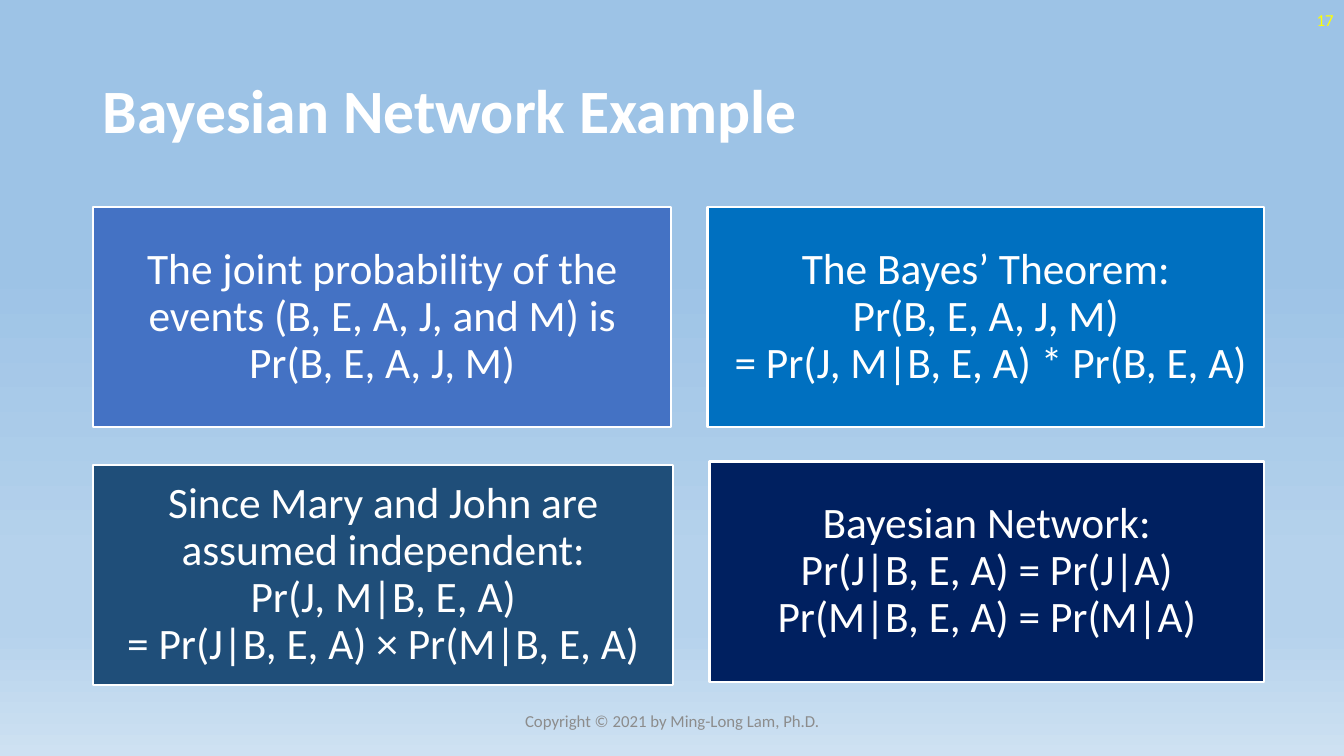
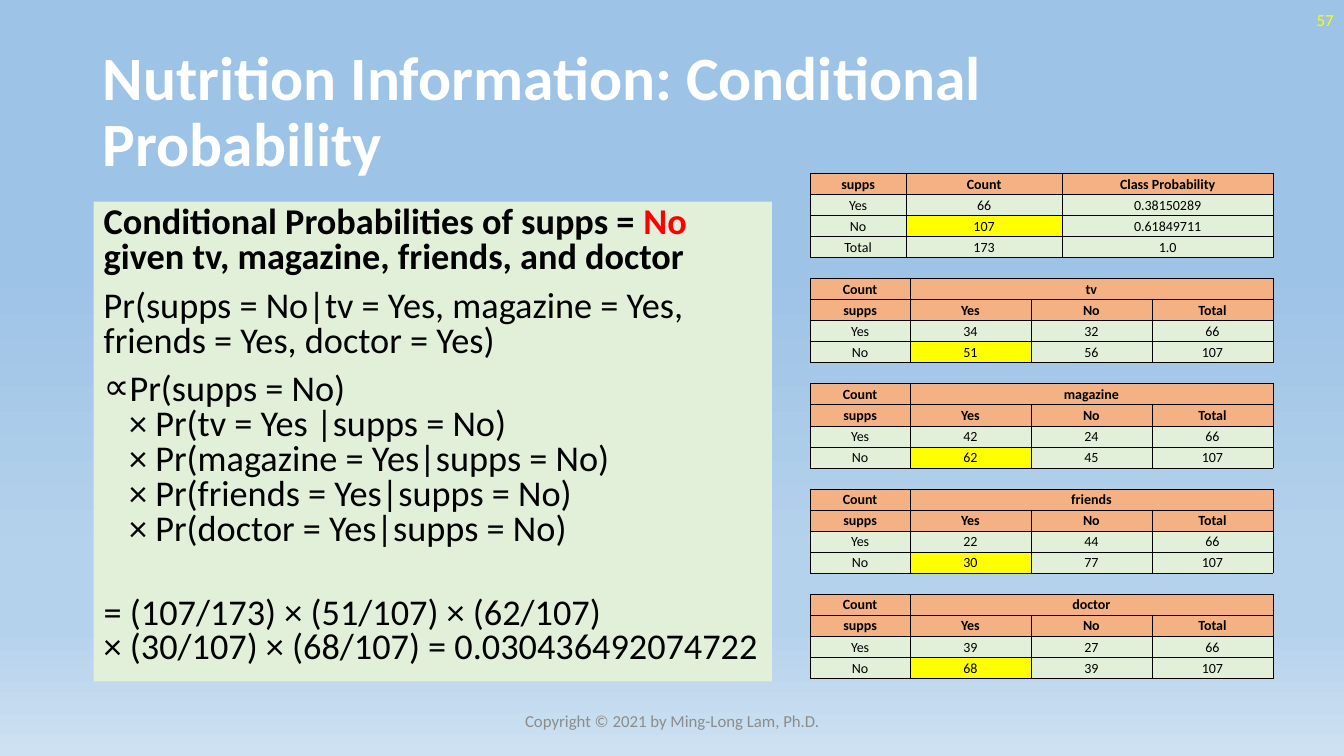
from dataclasses import dataclass

from lxml.etree import SubElement
from pptx import Presentation
from pptx.dml.color import RGBColor
from pptx.enum.shapes import MSO_SHAPE
from pptx.enum.text import MSO_ANCHOR, MSO_AUTO_SIZE, PP_ALIGN
from pptx.oxml.ns import qn
from pptx.util import Cm, Pt

FONT = "Calibri"
WHITE, BLACK, RED, YELLOW = "FFFFFF", "000000", "FF0000", "FFFF00"
GREY, GREEN, ORANGE = "8C8C8C", "E2F0D9", "F4B183"
SKY = [(35, "9DC3E6"), (74, "B5D2EC"), (83, "B5D2EC"), (100, "CEE1F2")]
COPY = "Copyright © 2021 by Ming-Long Lam, Ph.D."


@dataclass
class Area:
    left: float
    top: float
    width: float
    height: float

    def lengths(self) -> list:
        return [Cm(n) for n in (self.left, self.top, self.width, self.height)]


@dataclass
class Style:
    size: float
    color: str
    bold: bool = False


@dataclass
class Card:
    area: Area
    fill: str
    text: str


@dataclass
class Part:
    """A body paragraph: (text, colour) runs, weight, space before and bullet."""
    runs: list
    bold: bool = False
    before: float = 10
    bullet: str = ""


@dataclass
class Grid:
    widths: list
    heads: int
    rows: list


TITLE = Area(2.34, 1.02, 29.21, 3.68)
NUMBER = Area(26.24, 0, 7.62, 1.02)
FOOTER = Area(11.23, 17.65, 11.43, 1.02)
BODY = Area(2.36, 5.08, 17.09, 12.09)

CARDS = [
    Card(Area(2.34, 5.21, 14.58, 5.56), "4472C4",
         "The joint probability of the events (B, E, A, J, and M) is "
         "Pr(B, E, A, J, M)"),
    Card(Area(17.83, 5.21, 14.02, 5.56), "0070C0",
         "The Bayes’ Theorem:\nPr(B, E, A, J, M)\n"
         " = Pr(J, M|B, E, A) * Pr(B, E, A)"),
    Card(Area(2.34, 11.71, 14.63, 5.56), "1F4E79",
         "Since Mary and John are assumed independent:\nPr(J, M|B, E, A)\n"
         "= Pr(J|B, E, A) × Pr(M|B, E, A)"),
    Card(Area(17.88, 11.63, 13.97, 5.56), "002060",
         "Bayesian Network:\nPr(J|B, E, A) = Pr(J|A)\n"
         "Pr(M|B, E, A) = Pr(M|A)"),
]

PARTS = [
    Part([("Conditional Probabilities of supps = ", BLACK), ("No", RED),
          (" given tv, magazine, friends, and doctor", BLACK)],
         bold=True, before=0),
    Part([("Pr(supps = No|tv = Yes, magazine = Yes,\n"
           "friends = Yes, doctor = Yes)", BLACK)]),
    Part([("Pr(supps = No)\n× Pr(tv = Yes |supps = No)\n"
           "× Pr(magazine = Yes|supps = No)\n"
           "× Pr(friends = Yes|supps = No)\n"
           "× Pr(doctor = Yes|supps = No)", BLACK)], bullet="∝"),
    Part([("= (107/173) × (51/107) × (62/107)\n"
           "× (30/107) × (68/107) = 0.030436492074722", BLACK)], before=35),
]


def cross(name: str, yes: list, no: list) -> Grid:
    """Counts of supps against one factor."""
    return Grid([2.51] + [3.05] * 3, 2, [
        ["Count", name, "", ""],
        ["supps", "Yes", "No", "Total"],
        ["Yes", *yes, sum(yes)],
        ["No", *no, sum(no)],
    ])


GRIDS = [
    Grid([2.41, 3.94, 5.31], 1, [
        ["supps", "Count", "Class Probability"],
        ["Yes", 66, "0.38150289"],
        ["No", 107, "0.61849711"],
        ["Total", 173, "1.0"],
    ]),
    cross("tv", [34, 32], [51, 56]),
    cross("magazine", [42, 24], [62, 45]),
    cross("friends", [22, 44], [30, 77]),
    cross("doctor", [39, 27], [68, 39]),
]


def rgb(code: str) -> RGBColor:
    return RGBColor.from_string(code)


def paint(item, code: str) -> None:
    item.fill.solid()
    item.fill.fore_color.rgb = rgb(code)


def place(shape, area: Area) -> None:
    shape.left, shape.top, shape.width, shape.height = area.lengths()


def write(para, text: str, style: Style) -> None:
    """Add runs, with a line break at each newline."""
    for i, line in enumerate(text.split("\n")):
        if i:
            para.add_line_break()
        run = para.add_run()
        run.text = line
        font = run.font
        font.name, font.size, font.bold = FONT, Pt(style.size), style.bold
        font.color.rgb = rgb(style.color)


def set_sky(master) -> None:
    fill = master.background.fill
    fill.gradient()
    fill.gradient_angle = 270
    stops = next(master.element.iter(qn("a:gsLst")))
    for stop in list(stops):
        stops.remove(stop)
    for pos, code in SKY:
        stop = SubElement(stops, qn("a:gs"), pos=str(pos * 1000))
        SubElement(stop, qn("a:srgbClr"), val=code)


def add_label(slide, area: Area, text: str, align, color: str) -> None:
    frame = slide.shapes.add_textbox(*area.lengths()).text_frame
    frame.word_wrap = True
    frame.vertical_anchor = MSO_ANCHOR.MIDDLE
    para = frame.paragraphs[0]
    para.alignment = align
    write(para, text, Style(12, color))


def add_slide(deck, layout: int, title: str, number: int):
    slide = deck.slides.add_slide(deck.slide_layouts[layout])
    shape = slide.shapes.title
    place(shape, TITLE)
    frame = shape.text_frame
    frame.auto_size = MSO_AUTO_SIZE.NONE
    frame.vertical_anchor = MSO_ANCHOR.MIDDLE
    para = frame.paragraphs[0]
    para.alignment, para.line_spacing = PP_ALIGN.LEFT, 0.9
    write(para, title, Style(44, WHITE, True))
    add_label(slide, NUMBER, str(number), PP_ALIGN.RIGHT, YELLOW)
    add_label(slide, FOOTER, COPY, PP_ALIGN.CENTER, GREY)
    return slide


def add_card(slide, card: Card) -> None:
    shape = slide.shapes.add_shape(MSO_SHAPE.RECTANGLE, *card.area.lengths())
    shape.shadow.inherit = False
    paint(shape, card.fill)
    shape.line.color.rgb, shape.line.width = rgb(WHITE), Pt(1.5)
    frame = shape.text_frame
    frame.word_wrap = True
    frame.vertical_anchor = MSO_ANCHOR.MIDDLE
    frame.margin_left = frame.margin_right = Cm(0.33)
    frame.margin_top = frame.margin_bottom = Cm(0.33)
    para = frame.paragraphs[0]
    para.alignment, para.line_spacing = PP_ALIGN.CENTER, 0.9
    write(para, card.text, Style(31, WHITE))


def fill_body(shape, parts: list) -> None:
    place(shape, BODY)
    paint(shape, GREEN)
    frame = shape.text_frame
    frame.auto_size = MSO_AUTO_SIZE.NONE
    for i, part in enumerate(parts):
        para = frame.add_paragraph() if i else frame.paragraphs[0]
        props = para._p.get_or_add_pPr()
        indent = Cm(0.64) if part.bullet else 0
        props.set("marL", str(indent))
        props.set("indent", str(-indent))
        if part.bullet:
            SubElement(props, qn("a:buFont"), typeface=FONT)
            SubElement(props, qn("a:buChar"), char=part.bullet)
        else:
            SubElement(props, qn("a:buNone"))
        para.line_spacing, para.space_before = 0.8, Pt(part.before)
        for text, color in part.runs:
            write(para, text, Style(25.9, color, part.bold))


def add_edges(cell) -> None:
    props = cell._tc.get_or_add_tcPr()
    for side in ("lnL", "lnR", "lnT", "lnB"):
        line = SubElement(props, qn(f"a:{side}"), w=str(Pt(0.5)))
        fill = SubElement(line, qn("a:solidFill"))
        SubElement(fill, qn("a:srgbClr"), val=BLACK)


def fill_cell(cell, text: str, head: bool, hot: bool) -> None:
    add_edges(cell)
    paint(cell, ORANGE if head else YELLOW if hot else GREEN)
    cell.vertical_anchor = MSO_ANCHOR.MIDDLE
    cell.margin_left = cell.margin_right = cell.margin_top = Cm(0.03)
    cell.margin_bottom = 0
    para = cell.text_frame.paragraphs[0]
    para.alignment = PP_ALIGN.CENTER
    if text:
        write(para, text, Style(10, BLACK, head))


def add_grid(slide, grid: Grid, top: float) -> None:
    rows, cols = len(grid.rows), len(grid.widths)
    area = Area(20.42, top, sum(grid.widths), 0.53 * rows)
    table = slide.shapes.add_table(rows, cols, *area.lengths()).table
    table.first_row = table.horz_banding = False
    for col, width in zip(table.columns, grid.widths):
        col.width = Cm(width)
    for r, row in enumerate(grid.rows):
        table.rows[r].height = Cm(0.53)
        for c, value in enumerate(row):
            hot = row[0] == "No" and c == 1
            fill_cell(table.cell(r, c), str(value), r < grid.heads, hot)
    if grid.heads == 2:
        table.cell(0, 1).merge(table.cell(0, cols - 1))


def main() -> None:
    deck = Presentation()
    deck.slide_width, deck.slide_height = Cm(33.87), Cm(19.05)
    set_sky(deck.slide_master)

    slide = add_slide(deck, 5, "Bayesian Network Example", 17)
    for card in CARDS:
        add_card(slide, card)

    slide = add_slide(
        deck, 1, "Nutrition Information: Conditional Probability", 57)
    fill_body(slide.placeholders[1], PARTS)
    for i, grid in enumerate(GRIDS):
        add_grid(slide, grid, 4.37 + 2.65 * i)

    deck.save("out.pptx")


if __name__ == "__main__":
    main()
